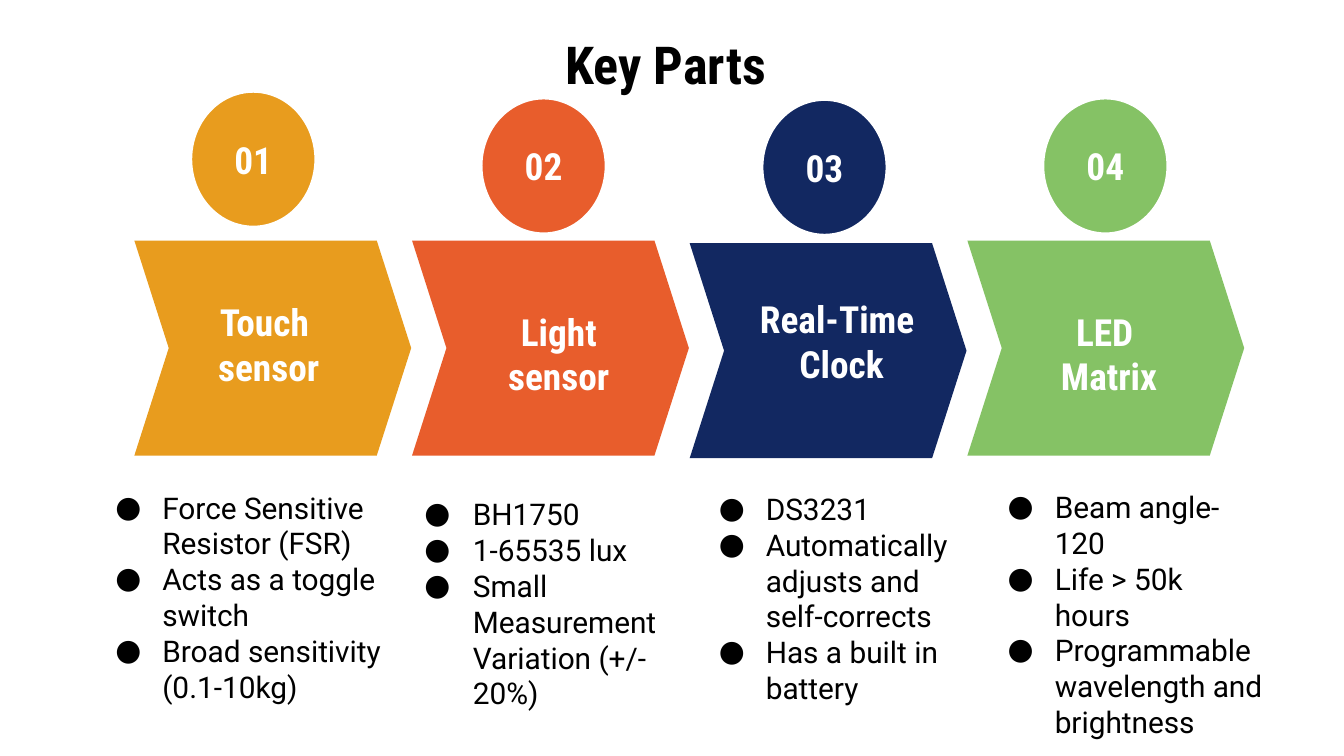
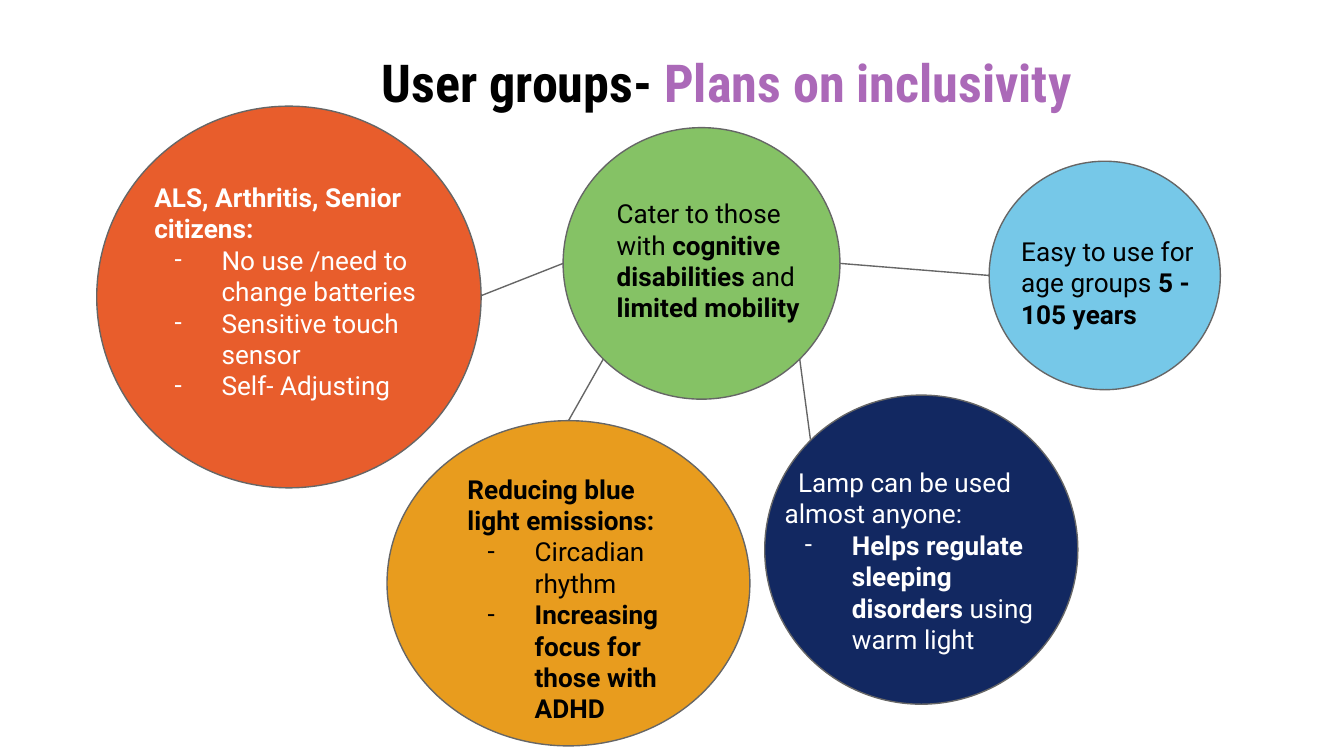
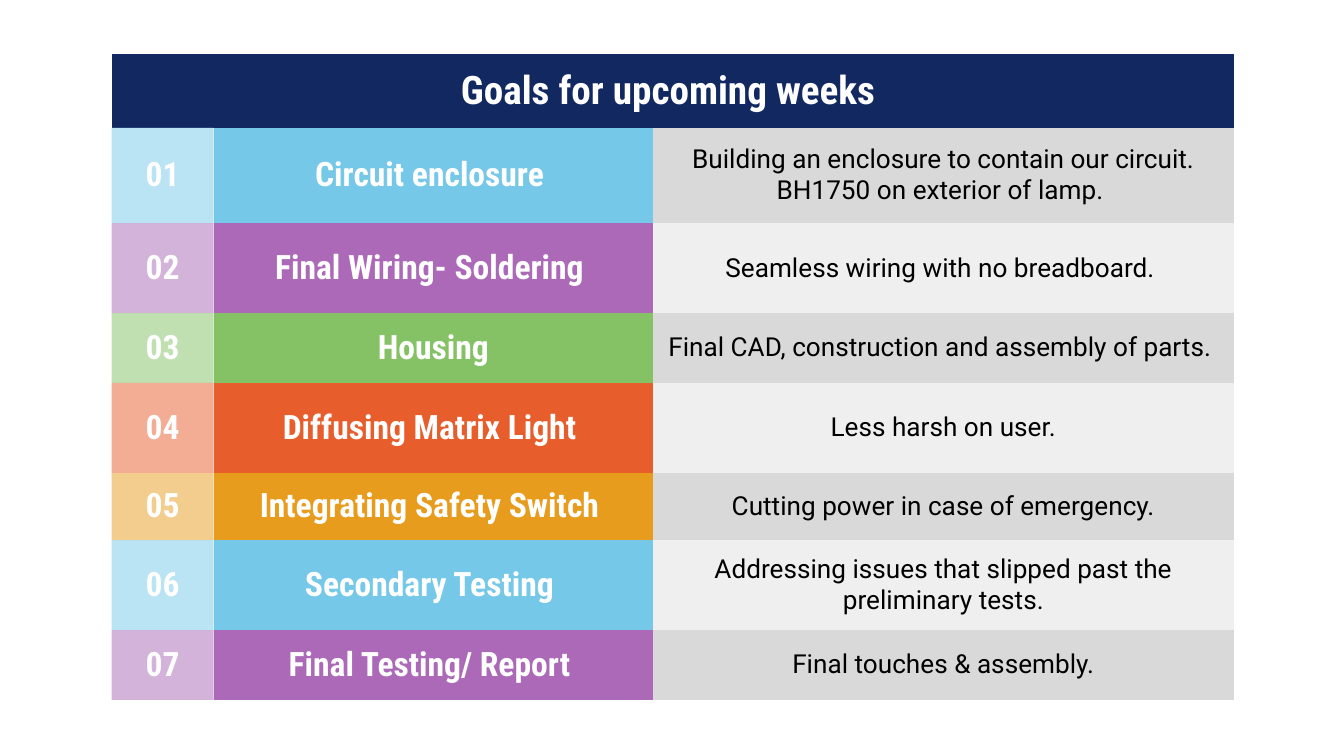
import lxml.etree
import pptx
import pptx.dml.color
import pptx.enum.shapes
import pptx.enum.text
import pptx.oxml.ns
import pptx.util

Inches, Pt = pptx.util.Inches, pptx.util.Pt
RGB = pptx.dml.color.RGBColor.from_string
SHAPE = pptx.enum.shapes.MSO_SHAPE
ANCHOR = pptx.enum.text.MSO_ANCHOR
ALIGN = pptx.enum.text.PP_ALIGN
qn = pptx.oxml.ns.qn

COLORS = {
    "gold": "E89C1E", "orange": "E85D2C", "navy": "122861", "green": "85C265",
    "sky": "76C8E8", "purple": "AB69B8", "black": "000000", "white": "FFFFFF",
    "outline": "666666", "gray": "D9D9D9", "pale": "EFEFEF",
}
HEADING, BODY = "Roboto Condensed", "Roboto"
INSETS = {f"margin_{side}": Inches(0.1) for side in ("left", "top", "right", "bottom")}

# Each style: font values, text colour, colour of *marked* words, alignment, anchor
STYLES = {
    "title": ({"name": HEADING, "size": Pt(28), "bold": True}, "black", "purple", ALIGN.CENTER, ANCHOR.MIDDLE),
    "step": ({"name": HEADING, "size": Pt(20), "bold": True}, "white", "white", ALIGN.CENTER, ANCHOR.MIDDLE),
    "detail": ({"name": BODY, "size": Pt(16), "bold": False}, "black", "black", ALIGN.LEFT, ANCHOR.MIDDLE),
    "dark_note": ({"name": BODY, "size": Pt(14), "bold": False}, "black", "black", ALIGN.LEFT, ANCHOR.TOP),
    "light_note": ({"name": BODY, "size": Pt(14), "bold": False}, "white", "white", ALIGN.LEFT, ANCHOR.TOP),
    "banner": ({"name": HEADING, "size": Pt(21), "bold": True}, "white", "white", ALIGN.CENTER, ANCHOR.MIDDLE),
    "goal": ({"name": HEADING, "size": Pt(18), "bold": True}, "white", "white", ALIGN.CENTER, ANCHOR.MIDDLE),
    "plan": ({"name": BODY, "size": Pt(14), "bold": False}, "black", "black", ALIGN.CENTER, ANCHOR.MIDDLE),
}


def write(holder, style, lines, margin=0.5, hanging=0.35):
    """Fill a shape or cell; lines may start with a bullet, *words* are stressed."""
    font_values, color, stress_color, align, anchor = STYLES[style]
    frame = holder.text_frame
    frame.word_wrap = True
    box = holder if hasattr(holder, "vertical_anchor") else frame
    for key, value in {**INSETS, "vertical_anchor": anchor}.items():
        setattr(box, key, value)
    for row, line in enumerate(lines):
        paragraph = frame.paragraphs[0] if row == 0 else frame.add_paragraph()
        paragraph.alignment = align
        if line[:2] in ("● ", "- "):
            props = paragraph._p.get_or_add_pPr()
            props.set("marL", str(Inches(margin)))
            props.set("indent", str(-Inches(hanging)))
            bullet_color = lxml.etree.SubElement(props, qn("a:buClr"))
            lxml.etree.SubElement(bullet_color, qn("a:srgbClr"), val=COLORS[color])
            lxml.etree.SubElement(props, qn("a:buFont"), typeface=font_values["name"])
            lxml.etree.SubElement(props, qn("a:buChar"), char=line[0])
            line = line[2:]
        for part, words in enumerate(line.split("*")):
            if not words:
                continue
            stressed = part % 2 == 1
            run = paragraph.add_run()
            run.text = words
            for key, value in font_values.items():
                setattr(run.font, key, value)
            run.font.bold = font_values["bold"] or stressed
            run.font.color.rgb = RGB(COLORS[stress_color if stressed else color])


def add_figure(slide, preset, place, fill, line=None, width=0.75):
    figure = slide.shapes.add_shape(preset, *map(Inches, place))
    figure.shadow.inherit = False
    figure.fill.solid()
    figure.fill.fore_color.rgb = RGB(COLORS[fill])
    if line:
        figure.line.color.rgb = RGB(COLORS[line])
        figure.line.width = Pt(width)
    else:
        figure.line.fill.background()
    return figure


# Widescreen deck, 16:9
deck = pptx.Presentation()
deck.slide_width = Inches(10)
deck.slide_height = Inches(10) * 9 // 16
parts_slide, users_slide, goals_slide = [deck.slides.add_slide(deck.slide_layouts[6]) for _ in range(3)]

# Titles
for slide, place, title in [
    (parts_slide, (0.5, 0.27, 9, 0.41), "Key Parts "),
    (users_slide, (1.82, 0.38, 7.26, 0.46), "User groups- *Plans on inclusivity *"),
]:
    write(slide.shapes.add_textbox(*map(Inches, place)), "title", [title])

# Key parts: colour, chevron top, circle position, label position, label, details box, margin, details
parts = [
    ("gold", 1.79, (1.42, 0.68), (0.98, 2.3), ["Touch ", "sensor"], (0.76, 3.55, 2.26, 1.78), 0.35,
     ["● Force Sensitive Resistor (FSR)", "● Acts as a toggle switch", "● Broad sensitivity (0.1-10kg)"]),
    ("orange", 1.79, (3.58, 0.73), (3.17, 2.37), ["Light ", "sensor "], (2.92, 3.69, 2.26, 1.6), 0.5,
     ["● BH1750", "● 1-65535 lux", "● Small Measurement Variation (+/- 20%)"]),
    ("navy", 1.81, (5.67, 0.74), (5.21, 2.28), ["Real-Time", " Clock"], (5.25, 3.56, 2.1, 1.78), 0.35,
     ["● DS3231", "● Automatically adjusts and self-corrects", "● Has a built in battery"]),
    ("green", 1.79, (7.76, 0.73), (7.2, 2.37), ["LED", " Matrix"], (7.4, 3.97, 2.1, 1.2), 0.35,
     ["● Beam angle- 120", "● Life > 50k hours", "● Programmable wavelength and brightness"]),
]
for index, (color, top, circle_at, label_at, label, details_at, margin, details) in enumerate(parts):
    chevron = add_figure(parts_slide, SHAPE.CHEVRON, (1 + 2.066 * index, top, 2.06, 1.6), color)
    chevron.adjustments[0] = 0.16
    circle = add_figure(parts_slide, SHAPE.OVAL, (*circle_at, 0.93, 1.01), color, "white", 1.5)
    write(circle, "step", [f"{index + 1:02}"])
    write(parts_slide.shapes.add_textbox(*map(Inches, (*label_at, 2.04, 0.52))), "step", label)
    write(parts_slide.shapes.add_textbox(*map(Inches, details_at)), "detail", details, margin, 0.36)

# User groups: circles
for color, place in [
    ("orange", (0.72, 0.79, 2.86, 2.84)),
    ("sky", (7.36, 1.2, 1.72, 1.7)),
    ("navy", (5.69, 2.94, 2.33, 2.3)),
    ("green", (4.19, 0.95, 2.06, 2.02)),
    ("gold", (2.88, 3.13, 2.7, 2.42)),
]:
    add_figure(users_slide, SHAPE.OVAL, place, color, "outline")

# User groups: links between circles
for ends in [(3.58, 2.2, 4.19, 1.96), (6.25, 1.96, 7.36, 2.05), (5.95, 2.67, 6.03, 3.27), (4.23, 3.13, 4.49, 2.67)]:
    link = users_slide.shapes.add_connector(pptx.enum.shapes.MSO_CONNECTOR.STRAIGHT, *map(Inches, ends))
    link.line.color.rgb = RGB(COLORS["outline"])
    link.line.width = Pt(0.75)
    lxml.etree.SubElement(link._element.spPr, qn("a:effectLst"))

# User groups: notes
for place, style, lines in [
    ((4.49, 1.37, 1.78, 0.71), "dark_note",
     ["Cater to those with *cognitive disabilities* and *limited mobility*"]),
    ((7.5, 1.65, 1.78, 0.85), "dark_note", ["Easy to use for age groups *5 - 105 years*"]),
    ((3.38, 3.42, 1.78, 0.75), "dark_note",
     ["*Reducing blue light emissions:*", "- Circadian rhythm", "- *Increasing focus for those with ADHD*"]),
    ((1.05, 1.25, 2.61, 1.42), "light_note",
     ["*ALS, Arthritis, Senior citizens:*", "- No use /need to change batteries",
      "- Sensitive touch sensor", "- Self- Adjusting"]),
    ((5.74, 3.37, 2.24, 0.85), "light_note",
     ["Lamp can be used almost anyone:", "- *Helps regulate sleeping disorders *using warm light"]),
]:
    note = users_slide.shapes.add_textbox(*map(Inches, place))
    write(note, style, lines)
# The lamp note opens with a small first-line indent
note.text_frame.paragraphs[0]._p.get_or_add_pPr().set("indent", str(Inches(0.1)))

# Goals table
goals = [
    ("sky", "Circuit enclosure ", "Building an enclosure to contain our circuit. BH1750 on exterior of lamp. "),
    ("purple", "Final Wiring- Soldering ", "Seamless wiring with no breadboard. "),
    ("green", "Housing", "Final CAD, construction and assembly of parts. "),
    ("orange", "Diffusing Matrix Light ", "Less harsh on user."),
    ("gold", "Integrating Safety Switch ", "Cutting power in case of emergency."),
    ("sky", "Secondary Testing ", "Addressing issues that slipped past the preliminary tests."),
    ("purple", "Final Testing/ Report ", "Final touches & assembly."),
]
widths = [0.76, 3.27, 4.32]
heights = [0.55, 0.71, 0.67, 0.52, 0.67, 0.5, 0.67, 0.52]
table = goals_slide.shapes.add_table(
    len(heights), len(widths), *map(Inches, (0.83, 0.4, sum(widths), sum(heights)))).table
# "No Style, No Grid" keeps the cells free of borders
table._tbl.tblPr.find(qn("a:tableStyleId")).text = "{2D5ABB26-0587-4C30-8999-92F81FD0307C}"
table.first_row = table.horz_banding = False
for column, width in zip(table.columns, widths):
    column.width = Inches(width)
for row, height in zip(table.rows, heights):
    row.height = Inches(height)

banner = table.cell(0, 0)
banner.merge(table.cell(0, 2))
banner.fill.solid()
banner.fill.fore_color.rgb = RGB(COLORS["navy"])
write(banner, "banner", ["Goals for upcoming weeks "])

for number, (color, goal, plan) in enumerate(goals, 1):
    plan_fill = "gray" if number % 2 else "pale"
    columns = [(f"{number:02}", "goal", color), (goal, "goal", color), (plan, "plan", plan_fill)]
    for position, (text, style, fill) in enumerate(columns):
        cell = table.cell(number, position)
        cell.fill.solid()
        cell.fill.fore_color.rgb = RGB(COLORS[fill])
        write(cell, style, [text])
    # Half-transparent number cell
    tint = table.cell(number, 0)._tc.tcPr.find(".//" + qn("a:srgbClr"))
    lxml.etree.SubElement(tint, qn("a:alpha"), val="50000")

deck.save("out.pptx")
